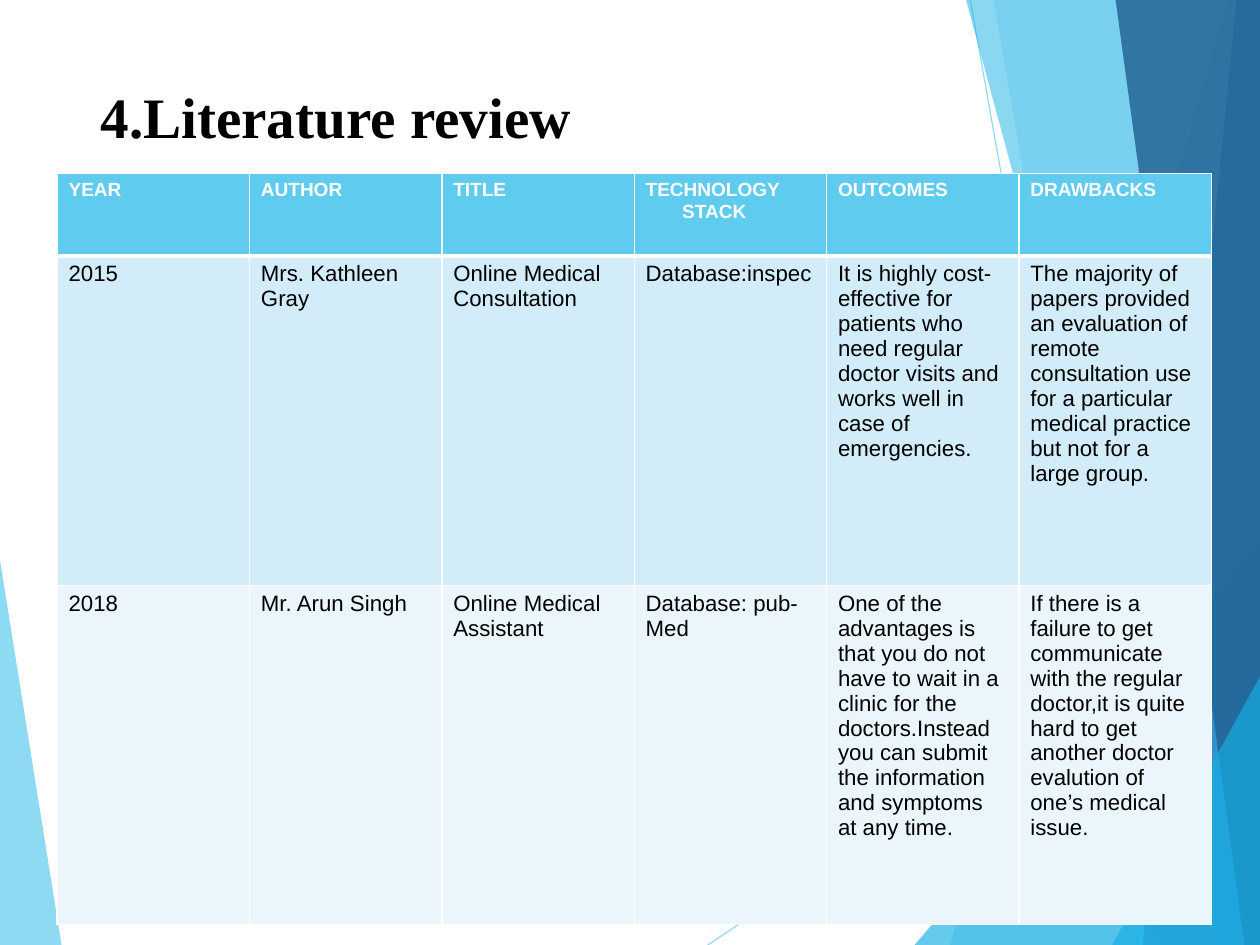
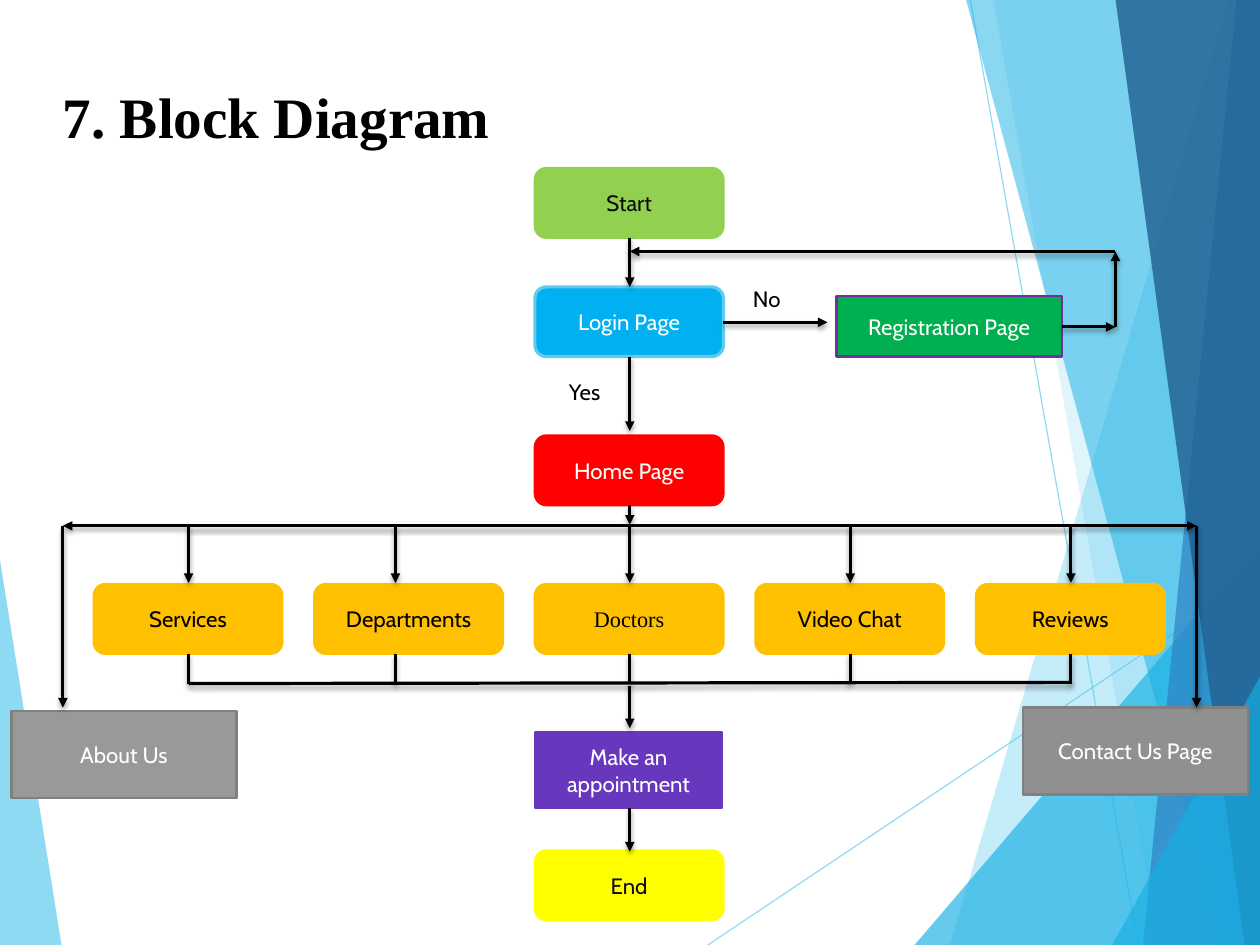
from lxml.etree import SubElement
from pptx import Presentation
from pptx.dml.color import RGBColor
from pptx.enum.shapes import MSO_CONNECTOR as CONN, MSO_SHAPE as SHAPE
from pptx.enum.text import MSO_ANCHOR as ANCHOR, PP_ALIGN as ALIGN
from pptx.oxml.ns import qn
from pptx.util import Emu, Pt

SCALE = 9144  # EMU per px, 100 px to the inch
SLIDE_SIZE = Emu(10080625), Emu(7559675)  # 28 by 21 cm, on a quarter-point grid
W, H = 1103, 827  # slide size in px, rounded up
C = {
    "white": "FFFFFF", "black": "000000", "ink": "0D0D0D",
    "sky": "5FCBEF", "cyan": "17B0E4", "blue": "2E83C3", "navy": "226292",
    "band1": "D2ECF9", "band2": "EAF6FC",
    "lime": "92D050", "azure": "00B0F0", "red": "FF0000", "green": "00B050",
    "purple": "7030A0", "violet": "6737BD", "amber": "FFC000", "yellow": "FFFF00",
    "gray": "909090", "silver": "999999", "edge": "808080",
}
TITLE = {"name": "Times New Roman", "size": Pt(36), "bold": True}
HEAD = {"name": "Arial", "size": Pt(12), "bold": True}
BODY = {"name": "Arial", "size": Pt(14), "bold": False}
NODE = {"name": "Cabin", "size": Pt(14)}
SERIF = {"name": "Times New Roman", "size": Pt(14)}
NO_INSET = {"margin_left": 0, "margin_right": 0, "margin_top": 0, "margin_bottom": 0}

# Facets from back to front: colour, opacity in percent, outline
FACETS = [
    ("sky", 70, [(-1, 484), (54, 828), (-1, 827)]),
    ("sky", 36, [(1075, 0), (831, 827), (W, H), (W, 0)]),
    ("sky", 20, [(869, -1), (1014, 827), (W, H), (W, -1)]),
    ("cyan", 66, [(800, 827), (W, 473), (W, H)]),
    ("cyan", 50, [(845, -1), (1069, 827), (W, H), (W, -1)]),
    ("blue", 70, [(1082, -1), (1000, 827), (W, H), (W, -1)]),
    ("navy", 82, [(976, -1), (1089, 827), (W, H), (W, -1)]),
    ("cyan", 66, [(973, 827), (W, 591), (W, H)]),
]
RAYS = [((619, 827), (1103, 503)), ((849, 0), (996, 827))]

REVIEW = [
    ["YEAR", "AUTHOR", "TITLE", "TECHNOLOGY\nSTACK", "OUTCOMES", "DRAWBACKS"],
    ["2015", "Mrs. Kathleen Gray", "Online Medical Consultation", "Database:inspec",
     "It is highly cost-effective for patients who need regular doctor visits "
     "and works well in case of emergencies.",
     "The majority of papers provided an evaluation of remote consultation use "
     "for a particular medical practice but not for a large group."],
    ["2018", "Mr. Arun Singh", "Online Medical Assistant", "Database: pub- Med",
     "One of the advantages is that you do not have to wait in a clinic for the "
     "doctors.Instead you can submit the information and symptoms at any time.",
     "If there is a failure to get communicate with the regular doctor,it is "
     "quite hard to get another doctor evalution of one’s medical issue."],
]
ROW_STYLES = [(72, "sky", "white", HEAD), (288, "band1", "black", BODY),
              (297, "band2", "black", BODY)]


def px(v):
    return Emu(round(v * SCALE))


def rgb(name):
    return RGBColor.from_string(C[name])


def put(obj, fmt):
    for key, value in fmt.items():
        setattr(obj, key, value)


def write(tf, text, color, font, **para):
    """Fill a text frame, one paragraph for each line of text."""
    tf.word_wrap = True
    tf.text = text
    for p in tf.paragraphs:
        put(p, para)
        for r in p.runs:
            put(r.font, font)
            r.font.color.rgb = rgb(color)


def fade(sp, percent):
    clr = next(sp._element.iter(qn("a:srgbClr")))
    SubElement(clr, qn("a:alpha"), val=str(percent * 1000))


def text_box(s, box, text, font, **para):
    tf = s.shapes.add_textbox(*map(px, box)).text_frame
    write(tf, text, "black", font, **para)
    return tf


def line(s, start, end, color, weight):
    """Draw a straight connector; return it with its empty effect list."""
    cx = s.shapes.add_connector(CONN.STRAIGHT, *map(px, (*start, *end)))
    cx.line.color.rgb = rgb(color)
    cx.line.width = Pt(weight)
    return cx, SubElement(cx._element.spPr, qn("a:effectLst"))


def backdrop(s, box):
    x, y = box[:2]

    def facet(color, percent, points):
        pen = s.shapes.build_freeform(*points[0], scale=SCALE)
        pen.add_line_segments(points[1:], close=True)
        sp = pen.convert_to_shape(px(x), px(y))
        sp.shadow.inherit = False
        sp.fill.solid()
        sp.fill.fore_color.rgb = rgb(color)
        sp.line.fill.background()
        fade(sp, percent)

    facet(*FACETS[0])
    for (x1, y1), (x2, y2) in RAYS:
        cx, _ = line(s, (x + x1, y + y1), (x + x2, y + y2), "sky", 0.75)
        fade(cx, 70)
    for item in FACETS[1:]:
        facet(*item)


def title(s, box, text):
    tf = text_box(s, box, text, TITLE, line_spacing=0.93)
    put(tf, {**NO_INSET, "vertical_anchor": ANCHOR.MIDDLE})


def cell_borders(cell, bottom):
    tc_pr = cell._tc.get_or_add_tcPr()
    for side, weight in zip("LRTB", (1, 1, 1, bottom)):
        ln = SubElement(tc_pr, qn("a:ln" + side), w=str(Pt(weight)))
        SubElement(SubElement(ln, qn("a:solidFill")), qn("a:srgbClr"), val=C["white"])


def review_table(s, box):
    tbl = s.shapes.add_table(len(REVIEW), len(REVIEW[0]), *map(px, box)).table
    tbl.horz_banding = False
    for col in tbl.columns:
        col.width = px(box[2] / len(REVIEW[0]))
    for i, (height, fill, color, font) in enumerate(ROW_STYLES):
        tbl.rows[i].height = px(height)
        for cell, text in zip(tbl.rows[i].cells, REVIEW[i]):
            cell_borders(cell, 1 if i else 3)
            cell.fill.solid()
            cell.fill.fore_color.rgb = rgb(fill)
            write(cell.text_frame, text, color, font)
            for p in cell.text_frame.paragraphs[1:]:
                p._p.get_or_add_pPr().set("marL", str(px(32)))


def node(s, box, text, fill, color, edge=None, weight=1.5, kind=SHAPE.ROUNDED_RECTANGLE,
         font=NODE):
    sp = s.shapes.add_shape(kind, *map(px, box))
    sp.shadow.inherit = False
    sp.fill.solid()
    sp.fill.fore_color.rgb = rgb(fill)
    sp.line.color.rgb = rgb(edge or fill)
    sp.line.width = Pt(weight)
    sp.text_frame.vertical_anchor = ANCHOR.MIDDLE
    write(sp.text_frame, text, color, font, alignment=ALIGN.CENTER)


def flow_line(s, start, end, head=True):
    cx, effects = line(s, start, end, "black", 2)
    if head:
        SubElement(cx.line._get_or_add_ln(), qn("a:tailEnd"), type="triangle")
    shadow = SubElement(effects, qn("a:outerShdw"), blurRad=str(Pt(3)), dist=str(Pt(2)),
                        dir="5400000", rotWithShape="0")
    clr = SubElement(shadow, qn("a:srgbClr"), val=C["black"])
    SubElement(clr, qn("a:alpha"), val="35000")


def block_diagram(s, box):
    x, y, w, _ = box
    mid = x + w // 2
    nw, nh, step = 165, 61, 193
    left = mid - 83
    rect = {"kind": SHAPE.RECTANGLE}
    page = {**rect, "edge": "edge"}

    for top, text, fill, color, extra in [
        (0, "Start", "lime", "ink", {}),
        (104, "Login Page", "azure", "white", {"edge": "sky", "weight": 2}),
        (234, "Home Page", "red", "white", {}),
        (597, "End", "yellow", "ink", {}),
    ]:
        node(s, (left, y + top, nw, nh), text, fill, color, **extra)
    for i, text in enumerate(["Services", "Departments", "Doctors", "Video Chat", "Reviews"]):
        node(s, (left + (i - 2) * step, y + 364, nw, nh), text, "amber", "black",
             font=SERIF if text == "Doctors" else NODE)
    node(s, (left, y + 494, nw - 1, 66), "Make an appointment", "violet", "white", **rect)
    node(s, (x + 722, y + 112, 197, 53), "Registration Page", "green", "white",
         edge="purple", **rect)
    node(s, (x, y + 475, 197, 76), "About Us", "silver", "white", **page)
    node(s, (x + w - 197, y + 472, 197, 76), "Contact Us Page", "gray", "white", **page)

    text_box(s, (mid - 63, y + 179, 94, 40), "Yes", NODE)
    text_box(s, (mid + 98, y + 98, 83, 40), "No", NODE)

    # Ends are measured from the middle axis and the top of the box
    bus, join, end, side = 313, 451, 386, 496
    arrows = [
        (0, 61, 0, 104), (0, 165, 0, 230), (82, 135, 173, 135),
        (378, 139, 425, 139), (425, 139, 425, 73), (425, 73, 0, 73),
        (0, 295, 0, 312), (0, 453, 0, 490), (0, 560, 0, 598),
    ]
    plain = [(-end, bus, end, bus), (-end, join, end, join - 1)]
    for dx in (-end, -205, 0, step, end):
        arrows.append((dx, bus, dx, 363))
        plain.append((dx, 425, dx, join))
    for sign in (-1, 1):
        arrows.append((sign * end, bus, sign * side, bus))
        arrows.append((sign * side, bus, sign * side, 472))
    for group, head in ((plain, False), (arrows, True)):
        for x1, y1, x2, y2 in group:
            flow_line(s, (mid + x1, y + y1), (mid + x2, y + y2), head)


def main():
    prs = Presentation()
    prs.slide_width, prs.slide_height = SLIDE_SIZE
    for heading, heading_left, content, box in [
        ("4.Literature review", 88, review_table, (50, 152, 1010, 657)),
        ("7. Block Diagram", 55, block_diagram, (10, 147, 1082, 658)),
    ]:
        s = prs.slides.add_slide(prs.slide_layouts[6])
        backdrop(s, (0, 0, W, H))
        title(s, (heading_left, 35, 900, 138), heading)
        content(s, box)
    prs.save("out.pptx")


if __name__ == "__main__":
    main()
